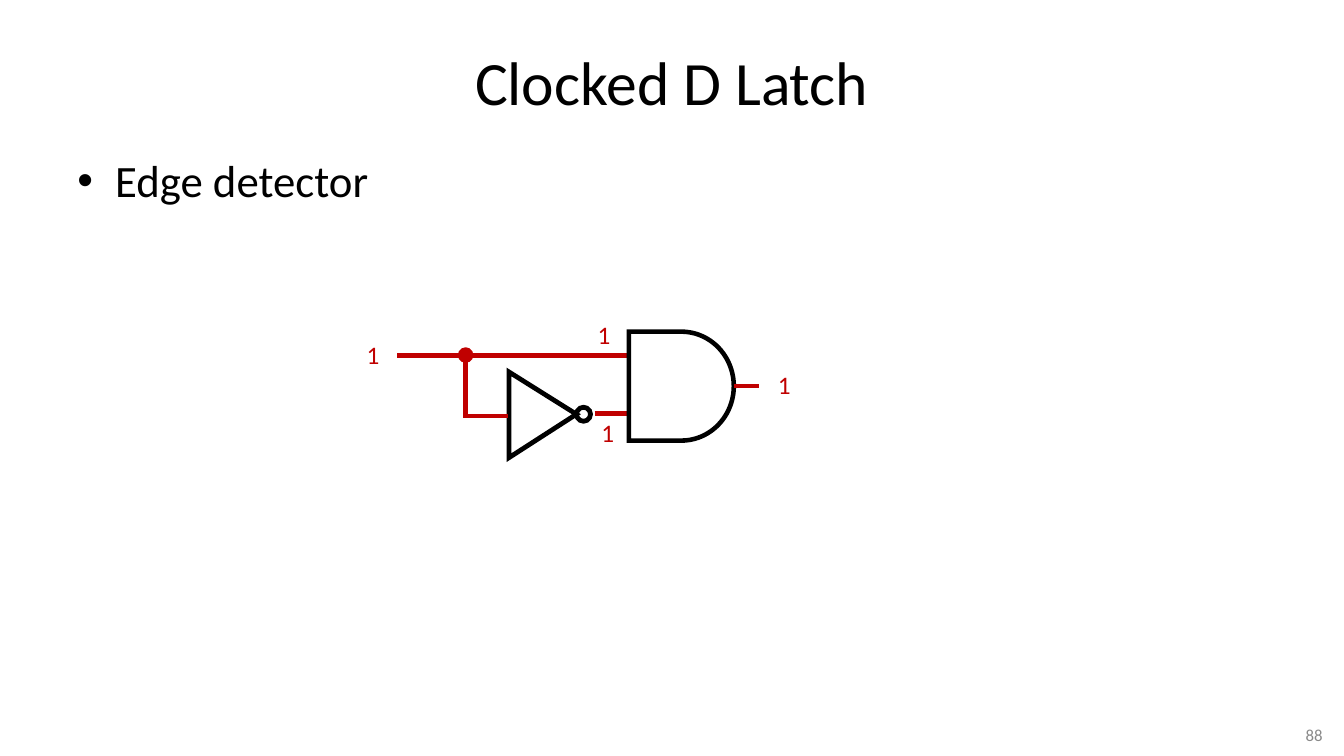
"""Build the Clocked D Latch slide with its edge detector circuit."""
from pptx import Presentation
from pptx.dml.color import RGBColor
from pptx.enum.shapes import MSO_CONNECTOR as Link, MSO_SHAPE as Shape
from pptx.enum.text import MSO_ANCHOR as Anchor, PP_ALIGN as Align
from pptx.oxml.xmlchemy import OxmlElement
from pptx.util import Pt

TITLE = "Clocked D Latch"
BULLETS = ["Edge detector"]
PAGE_NUMBER = "88"

THEME = {
    "ink": RGBColor(0, 0, 0),
    "signal": RGBColor(0xC0, 0, 0),
    "muted": RGBColor(0x89, 0x89, 0x89),
    "font": "Calibri",
    "title": 44, "body": 32, "label": 18, "number": 12,
    "wire": 3.25, "inverter": 3.4, "dot": 2,
}

TITLE_BOX = (48, 21.6, 864, 72.7)
BODY_BOX = (48, 105.8, 864, 396.7)
NUMBER_BOX = (848.9, 514.1, 103, 20.9)

GATE_BOX = (449.3, 236.9, 74.9, 77.8)
INVERTER = [(363.6, 265.7), (363.6, 326.9), (411.8, 295.9)]
BUBBLE = (416.8, 295.9, 5)
NODE = (332.6, 253.6, 4.5)
INPUT_WIRES = [
    (283.7, 253.8, 450, 253.8),
    (424.8, 295.2, 450, 295.2),
    (332.6, 297.3, 362.9, 297.3),
    (332.6, 253.8, 332.6, 298.9),
]
OUTPUT_WIRE = (524.2, 275.8, 542.2, 275.8)
LABEL_SIZE = (31.7, 29.1)
LABELS = [
    ("1", 419.8, 224.6),
    ("1", 254.9, 239),
    ("1", 548.6, 260.6),
    ("1", 422.6, 294.5),
]


def points(values):
    return [Pt(value) for value in values]


def place(box, bounds):
    for name, value in zip(("left", "top", "width", "height"), points(bounds)):
        setattr(box, name, value)


def write(box, lines, size, color, align=None):
    frame = box.text_frame
    frame.word_wrap = True
    frame.text = "\n".join(lines)
    look = {"name": THEME["font"], "size": Pt(THEME[size])}
    for para in frame.paragraphs:
        para.alignment = align
        for span in para.runs:
            for name, value in look.items():
                setattr(span.font, name, value)
            span.font.color.rgb = THEME[color]


def stroke(item, color, weight):
    item.line.color.rgb = THEME[color]
    item.line.width = Pt(THEME[weight])


def outline(shape, color, weight, filled=False):
    shape.shadow.inherit = False
    stroke(shape, color, weight)
    miter = OxmlElement("a:miter")
    miter.set("lim", "800000")
    shape.line._get_or_add_ln().append(miter)
    if filled:
        shape.fill.solid()
        shape.fill.fore_color.rgb = THEME[color]
    else:
        shape.fill.background()


def add_circle(page, circle, color, weight, filled=False):
    x, y, radius = circle
    bounds = points((x - radius, y - radius, 2 * radius, 2 * radius))
    outline(page.shapes.add_shape(Shape.OVAL, *bounds), color, weight, filled)


def add_wire(page, ends):
    wire = page.shapes.add_connector(Link.STRAIGHT, *points(ends))
    stroke(wire, "signal", "wire")
    wire._element.spPr.append(OxmlElement("a:effectLst"))
    return wire


def add_circuit(page):
    builder = page.shapes.build_freeform(*points(INVERTER[0]), scale=1.0)
    builder.add_line_segments([points(corner) for corner in INVERTER[1:]], close=True)
    outline(builder.convert_to_shape(), "ink", "inverter")
    add_circle(page, BUBBLE, "ink", "inverter")
    for ends in INPUT_WIRES:
        add_wire(page, ends)
    gate = page.shapes.add_shape(Shape.FLOWCHART_DELAY, *points(GATE_BOX))
    outline(gate, "ink", "wire")
    add_wire(page, OUTPUT_WIRE).begin_connect(gate, 3)
    add_circle(page, NODE, "signal", "dot", filled=True)
    for text, left, top in LABELS:
        box = page.shapes.add_textbox(*points((left, top, *LABEL_SIZE)))
        write(box, [text], "label", "signal")


def main():
    deck = Presentation()
    deck.slide_width, deck.slide_height = points((960, 540))
    page = deck.slides.add_slide(deck.slide_layouts[1])

    title, body = page.placeholders
    place(title, TITLE_BOX)
    write(title, [TITLE], "title", "ink", Align.CENTER)
    title.text_frame.vertical_anchor = Anchor.MIDDLE
    place(body, BODY_BOX)
    write(body, BULLETS, "body", "ink")
    body.text_frame.paragraphs[0].space_before = Pt(0)

    number = page.shapes.add_textbox(*points(NUMBER_BOX))
    write(number, [PAGE_NUMBER], "number", "muted", Align.RIGHT)
    number.text_frame.vertical_anchor = Anchor.MIDDLE

    add_circuit(page)
    deck.save("out.pptx")


if __name__ == "__main__":
    main()
